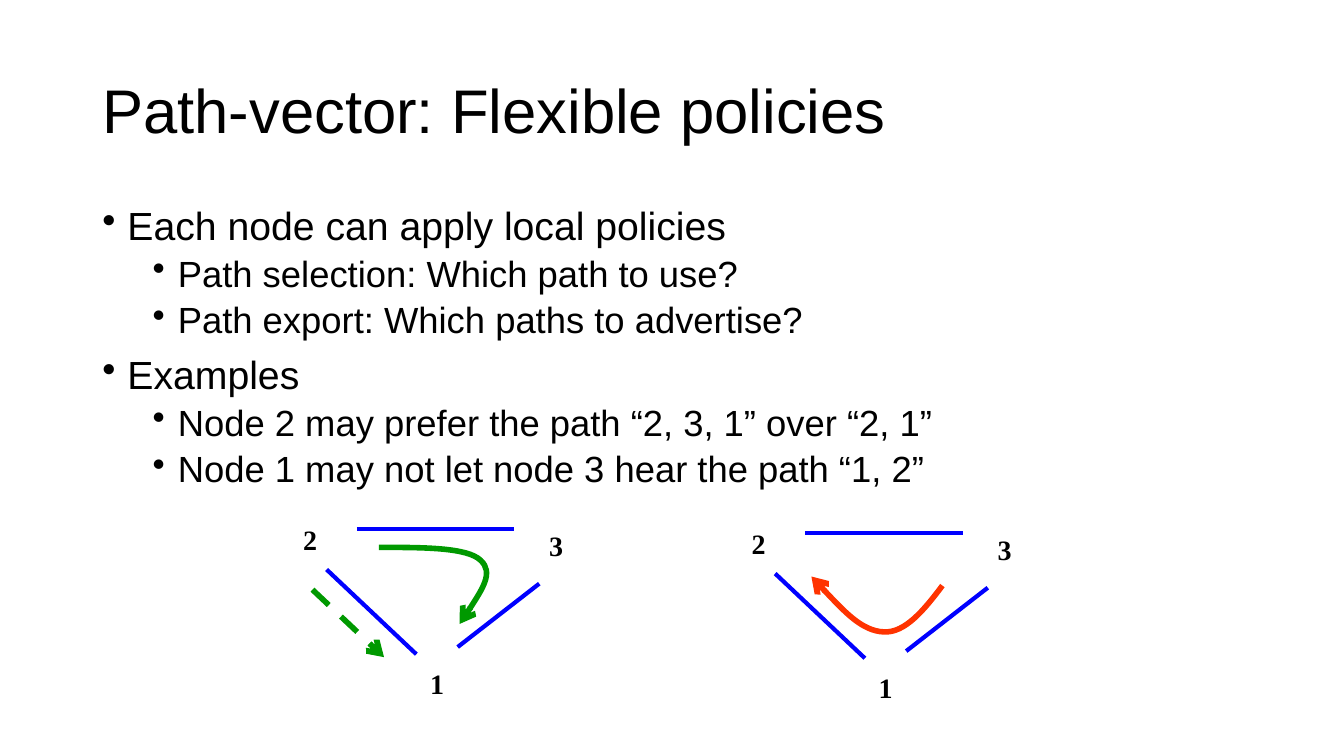
import pptx
import pptx.util
import pptx.dml.color
import pptx.enum.dml
import pptx.enum.shapes
import pptx.enum.text
import pptx.oxml
import pptx.oxml.ns
from dataclasses import dataclass

TITLE = "Path-vector: Flexible policies"
BULLETS = [
    (0, "Each node can apply local policies"),
    (1, "Path selection: Which path to use?"),
    (1, "Path export: Which paths to advertise?"),
    (0, "Examples"),
    (1, "Node 2 may prefer the path “2, 3, 1” over “2, 1”"),
    (1, "Node 1 may not let node 3 hear the path “1, 2”"),
]
NODES = {"2": (209.5, 369.4), "3": (385.2, 373.7), "1": (300.2, 472.3)}
NODE_SIZE = (24.5, 31)
LINKS = [
    ((254.9, 378), (367.2, 378)),
    ((385.2, 416.9), (326.9, 462.2)),
    ((233.3, 406.8), (297.4, 467.3)),
]
NETWORK_OFFSETS = [(0, 0), (323.4 - 3, 2.9)]
PREFERRED_ROUTE = [(270.7, 391), (302.4, 391), (334.1, 391), (343.4, 400.3),
                   (352.8, 409), (340.6, 427.7), (328.3, 445.7)]
DIRECT_ROUTE = ((223.2, 421.2), (274.3, 469.4))
HIDDEN_ROUTE = [(673.2, 418.3), (660.2, 435.6), (646.6, 452.2), (631.4, 451.4),
                (615.6, 450.7), (597.6, 431.3), (579.6, 411.8)]

Pt = pptx.util.Pt
Color = pptx.dml.color.RGBColor.from_string


@dataclass(frozen=True)
class Theme:
    sans: str = "Arial"
    serif: str = "Times New Roman"
    text: str = "000000"
    link: str = "0000FF"
    preferred: str = "009900"
    hidden: str = "FF3300"
    title_size: int = 44
    bullet_sizes: tuple = (28, 26)
    node_size: int = 20
    link_width: int = 3
    route_width: int = 4


THEME = Theme()
BULLET_FORMATS = [
    {"left": 18, "before": 10},
    {"left": 54, "before": 5},
]
HANGING = -18


def apply(target, values):
    for name, value in values.items():
        setattr(target, name, value)


def add_box(page, left, top, width, height, wrap=True):
    box = page.shapes.add_textbox(Pt(left), Pt(top), Pt(width), Pt(height))
    box.text_frame.word_wrap = wrap
    return box


def add_span(para, text, size, face, bold=False):
    span = para.add_run()
    span.text = text
    apply(span.font, {"name": face, "size": Pt(size), "bold": bold})
    span.font.color.rgb = Color(THEME.text)


def add_bullets(frame):
    for index, (level, text) in enumerate(BULLETS):
        para = frame.add_paragraph() if index else frame.paragraphs[0]
        form = BULLET_FORMATS[level]
        properties = para._p.get_or_add_pPr()
        properties.set("marL", str(Pt(form["left"])))
        properties.set("indent", str(Pt(HANGING)))
        mark = pptx.oxml.parse_xml(
            f'<a:buChar {pptx.oxml.ns.nsdecls("a")} char="•"/>')
        properties.append(mark)
        apply(para, {"level": level, "line_spacing": 0.9,
                     "space_before": Pt(form["before"] if index else 0)})
        add_span(para, text, THEME.bullet_sizes[level], THEME.sans)


def style_line(shape, color, width, arrow=False):
    shape.line.color.rgb = Color(color)
    shape.line.width = Pt(width)
    if arrow:
        head = pptx.oxml.parse_xml(
            f'<a:tailEnd {pptx.oxml.ns.nsdecls("a")} type="arrow"/>')
        shape.line._get_or_add_ln().append(head)


def add_line(page, start, end):
    line = page.shapes.add_connector(
        pptx.enum.shapes.MSO_CONNECTOR.STRAIGHT,
        *(Pt(value) for value in (*start, *end)))
    line._element.spPr.append(pptx.oxml.parse_xml(
        f'<a:effectLst {pptx.oxml.ns.nsdecls("a")}/>'))
    return line


def add_curve(page, points, color):
    first, *rest = [(Pt(x), Pt(y)) for x, y in points]
    builder = page.shapes.build_freeform(*first)
    builder.add_line_segments(rest, close=False)
    curve = builder.convert_to_shape()
    qn = pptx.oxml.ns.qn
    steps = list(curve._element.iter(qn("a:lnTo")))
    for begin in range(0, len(steps), 3):
        bend = pptx.oxml.parse_xml(
            f'<a:cubicBezTo {pptx.oxml.ns.nsdecls("a")}/>')
        steps[begin].addprevious(bend)
        for step in steps[begin:begin + 3]:
            bend.append(step[0])
            step.getparent().remove(step)
    curve.shadow.inherit = False
    curve.fill.background()
    style_line(curve, color, THEME.route_width, arrow=True)


def add_network(page, across, down):
    for name, (left, top) in NODES.items():
        box = add_box(page, left + across, top + down, *NODE_SIZE, wrap=False)
        add_span(box.text_frame.paragraphs[0], name, THEME.node_size,
                 THEME.serif, bold=True)
    for ends in LINKS:
        line = add_line(page, *((x + across, y + down) for x, y in ends))
        style_line(line, THEME.link, THEME.link_width)


def main():
    deck = pptx.Presentation()
    apply(deck, {"slide_width": Pt(960), "slide_height": Pt(540)})
    page = deck.slides.add_slide(deck.slide_layouts[6])

    title = add_box(page, 66, 28.8, 828, 104.4).text_frame
    title.vertical_anchor = pptx.enum.text.MSO_ANCHOR.MIDDLE
    title.paragraphs[0].line_spacing = 0.9
    add_span(title.paragraphs[0], TITLE, THEME.title_size, THEME.sans)
    add_bullets(add_box(page, 66, 144, 828, 342.7).text_frame)

    for offset in NETWORK_OFFSETS:
        add_network(page, *offset)
    add_curve(page, PREFERRED_ROUTE, THEME.preferred)
    direct = add_line(page, *DIRECT_ROUTE)
    direct.line.dash_style = pptx.enum.dml.MSO_LINE.DASH
    style_line(direct, THEME.preferred, THEME.route_width, arrow=True)
    add_curve(page, HIDDEN_ROUTE, THEME.hidden)
    deck.save("out.pptx")


if __name__ == "__main__":
    main()
